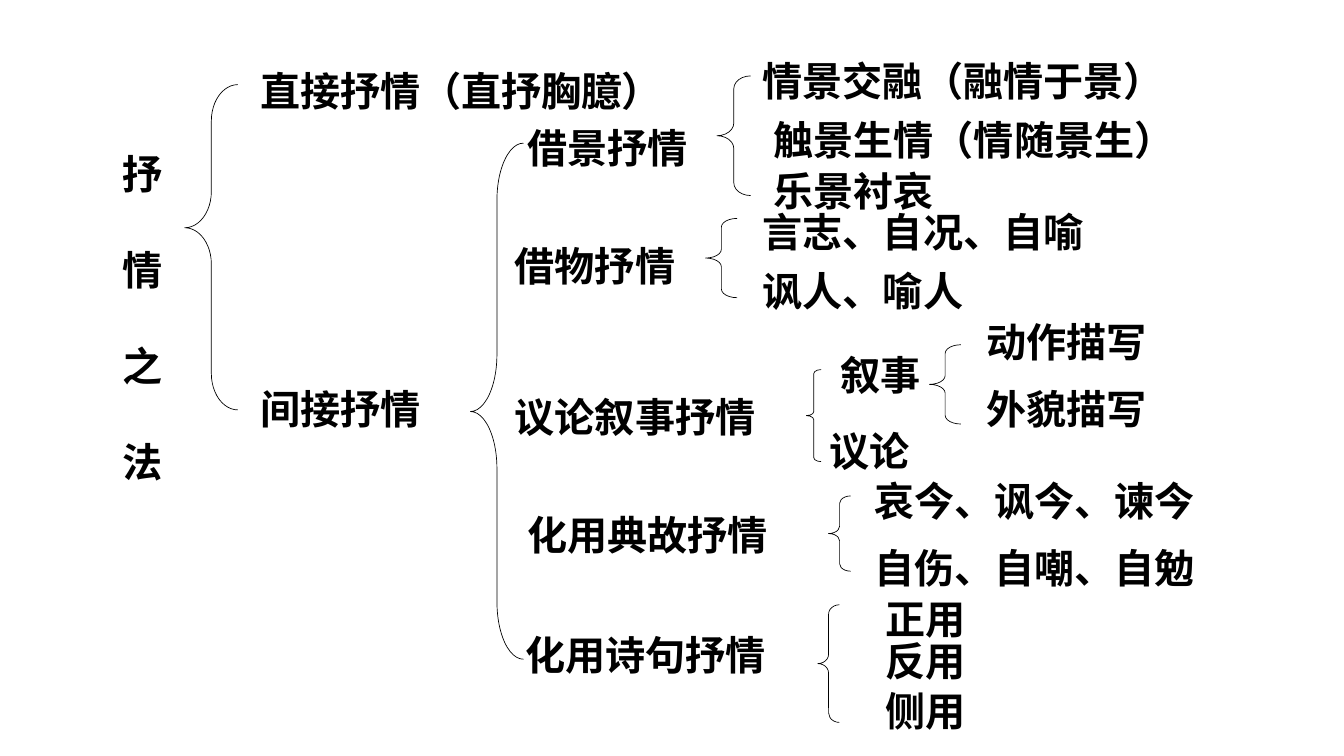
from pptx import Presentation
from pptx.dml.color import RGBColor
from pptx.enum.shapes import MSO_SHAPE
from pptx.enum.text import MSO_AUTO_SIZE
from pptx.util import Inches, Pt

BRACE = MSO_SHAPE.LEFT_BRACE
GROW = MSO_AUTO_SIZE.SHAPE_TO_FIT_TEXT
COLORS = {"ink": "000000"}
FONT = "Arial"
LABEL_HEIGHT = 0.9
ROOT_GAP = 51.5

LABELS = [
    ("直接抒情（直抒胸臆）", 3.7, 0.9, 7.24),
    ("间接抒情", 3.7, 5.63, 3.13),
    ("借景抒情", 7.67, 1.75, 4.72),
    ("借物抒情", 7.48, 3.5, 3.78),
    ("议论叙事抒情", 7.48, 5.75, 5.02),
    ("化用典故抒情", 7.67, 7.5, 4.83),
    ("化用诗句抒情", 7.64, 9.29, 4.73),
    ("情景交融（融情于景）", 11.17, 0.75, 6.83),
    ("触景生情（情随景生）", 11.33, 1.63, 6.61),
    ("乐景衬哀", 11.33, 2.38, 3.78),
    ("言志、自况、自喻", 11.17, 3, 6.33),
    ("讽人、喻人", 11.17, 3.88, 5.17),
    ("议论", 12.17, 6.25, 2.36),
    ("叙事", 12.33, 5.13, 2.36),
    ("外貌描写", 14.5, 5.63, 3.53),
    ("动作描写", 14.5, 4.63, 3.31),
    ("哀今、讽今、谏今", 12.83, 7, 6.3),
    ("自伤、自嘲、自勉", 12.83, 8, 6.46),
    ("正用", 13, 8.75, 2.36),
    ("反用", 13, 9.38, 2.77),
    ("侧用", 13, 10.13, 2.53),
]

# left, top, width, height, curve height, tip position
BRACES = [
    (2.75, 1.26, 0.79, 4.84, 0.54, 0.44),
    (7, 2.13, 0.79, 7.68, 0.85, 0.52),
    (10.67, 1.13, 0.5, 1.78, 0.19, 0.5),
    (10.5, 3.25, 0.47, 1.18, 0.13, 0.5),
    (12, 5.5, 0.22, 1.37, 0.06, 0.5),
    (13.83, 5.13, 0.47, 1.18, 0.13, 0.5),
    (12.33, 7.38, 0.33, 1.12, 0.11, 0.5),
    (12.17, 9, 0.32, 1.75, 0.14, 0.5),
]


def add_label(slide, lines, left, top, width, height=LABEL_HEIGHT):
    sp = slide.shapes.add_textbox(Inches(left), Inches(top), Inches(width), Inches(height))
    tf = sp.text_frame
    tf.word_wrap = True
    tf.auto_size = GROW
    tf.margin_left = tf.margin_right = Inches(0.18)
    tf.margin_top = tf.margin_bottom = Inches(0.09)
    for i, line in enumerate(lines):
        p = tf.add_paragraph() if i else tf.paragraphs[0]
        p.text = line
        p.space_before = Pt(ROOT_GAP if i else 0)
        p.font.name = FONT
        p.font.size = Pt(43)
        p.font.bold = True
        p.font.color.rgb = RGBColor.from_string(COLORS["ink"])


def add_brace(slide, left, top, width, height, curve, tip):
    sp = slide.shapes.add_shape(BRACE, Inches(left), Inches(top), Inches(width), Inches(height))
    sp.adjustments[0] = curve / min(width, height)
    sp.adjustments[1] = tip
    sp.shadow.inherit = False
    sp.fill.background()
    sp.line.color.rgb = RGBColor.from_string(COLORS["ink"])
    sp.line.width = Pt(0.75)


def main():
    prs = Presentation()
    prs.slide_width = Inches(20)
    prs.slide_height = Inches(11.25)
    slide = prs.slides.add_slide(prs.slide_layouts[6])
    add_label(slide, "抒情之法", 1.65, 2.13, 1, 5.19)
    for brace in BRACES:
        add_brace(slide, *brace)
    for text, left, top, width in LABELS:
        add_label(slide, [text], left, top, width)
    prs.save("out.pptx")


if __name__ == "__main__":
    main()
